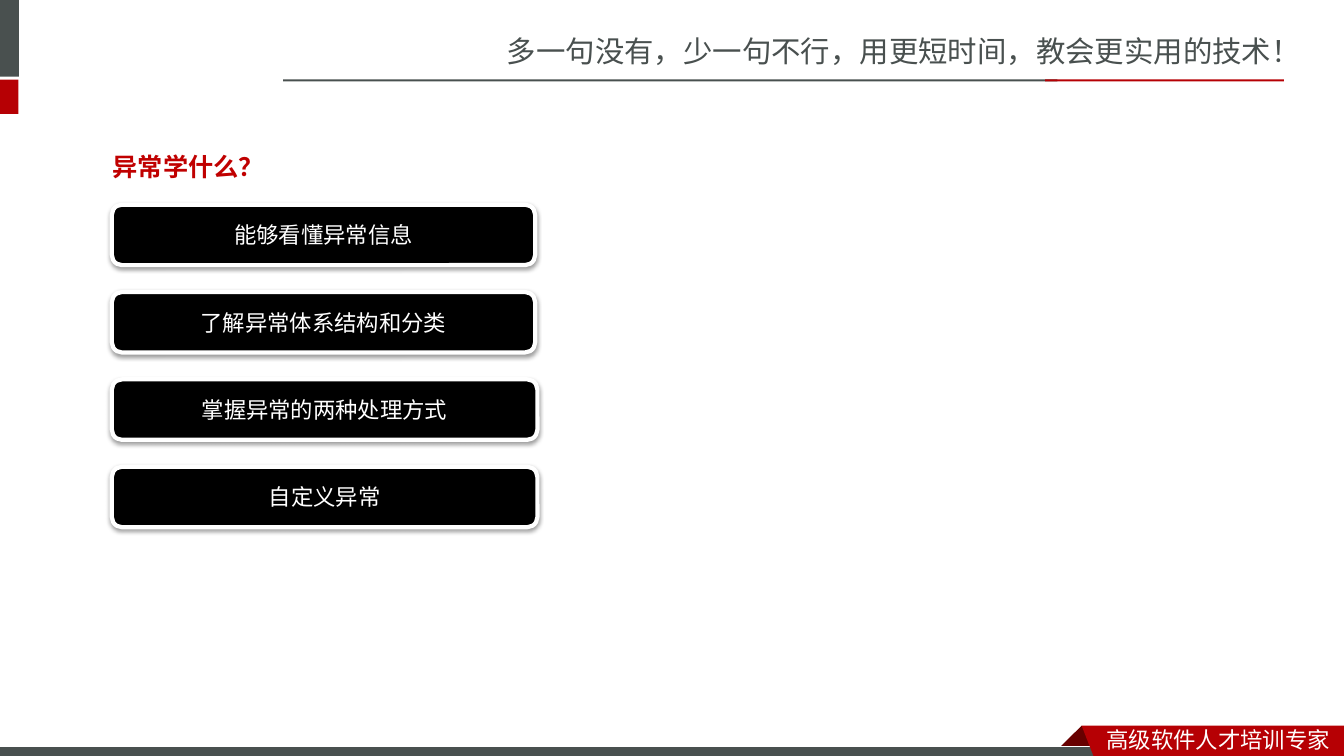
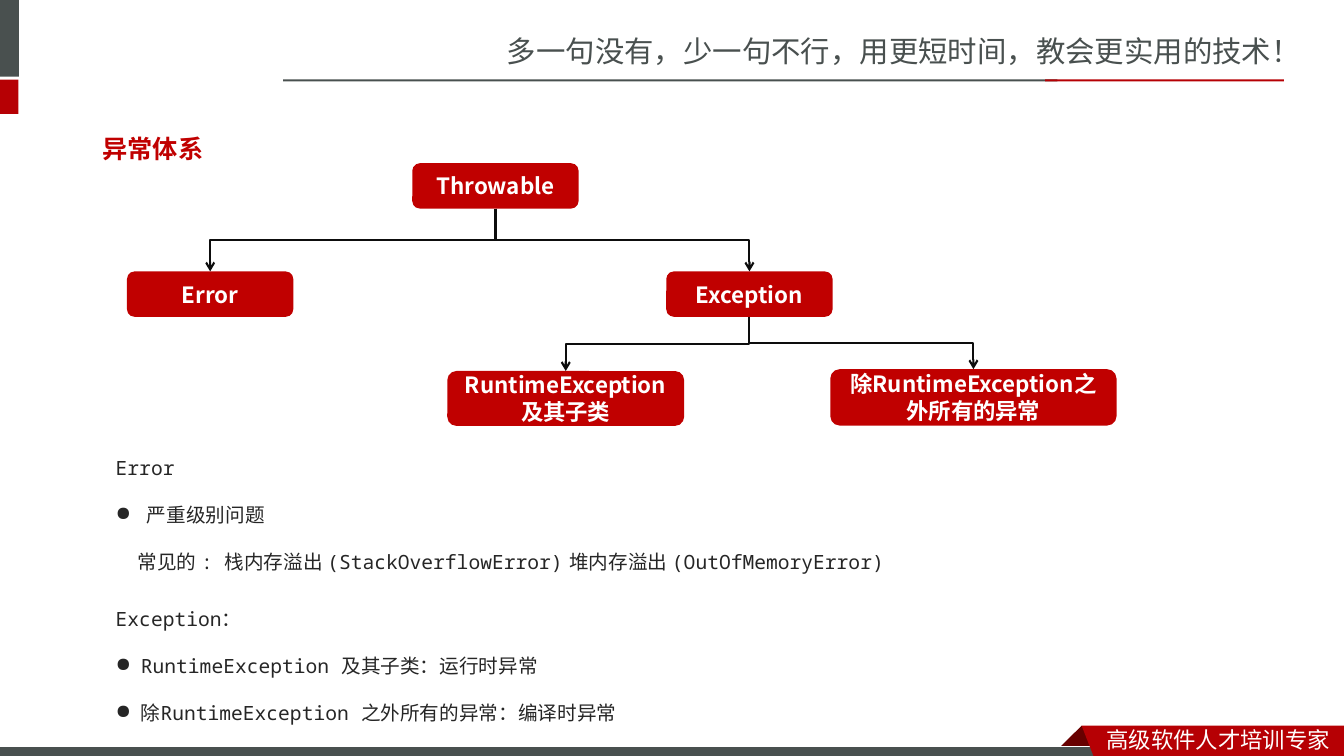
from lxml import etree
from pptx import Presentation
from pptx.dml.color import RGBColor
from pptx.enum.shapes import MSO_CONNECTOR, MSO_SHAPE
from pptx.enum.text import MSO_ANCHOR, MSO_AUTO_SIZE, PP_ALIGN
from pptx.oxml.ns import qn
from pptx.util import Pt

RECT = MSO_SHAPE.RECTANGLE
ROUNDED = MSO_SHAPE.ROUNDED_RECTANGLE
ELBOW = MSO_CONNECTOR.ELBOW
CENTER = PP_ALIGN.CENTER
MIDDLE = MSO_ANCHOR.MIDDLE
GROW = MSO_AUTO_SIZE.SHAPE_TO_FIT_TEXT

GRAY, RED, DARK_RED = "49504F", "B60004", "680000"
ACCENT, WHITE, BLACK = "C00000", "FFFFFF", "000000"
BODY, LINE = "262626", "0D0D0D"
SANS, SANS_BOLD, MONO = "Noto Sans CJK SC", "Noto Sans CJK JP", "Noto Sans Mono"

BOTTOM_SIDE, TOP_SIDE = 2, 0


def color(value):
    return RGBColor.from_string(value)


def add_xml(parent, tag, **attributes):
    child = etree.SubElement(parent, qn(tag))
    for name, value in attributes.items():
        child.set(name, str(value))
    return child


def style_font(para, size, fill, font=SANS, east=None, bold=False):
    para.font.size = Pt(size)
    para.font.bold = bold
    para.font.color.rgb = color(fill)
    para.font.name = font
    defaults = para._p.pPr.find(qn("a:defRPr"))
    add_xml(defaults, "a:ea", typeface=east or font)


def indent(para, margin, first, bullet=None, tab=None):
    """Set the indents of a paragraph, its bullet and its tab stop."""
    properties = para._p.get_or_add_pPr()
    properties.set("marL", str(Pt(margin)))
    properties.set("indent", str(Pt(first)))
    if bullet:
        add_xml(properties, "a:buChar", char=bullet)
    if tab:
        stops = add_xml(properties, "a:tabLst")
        add_xml(stops, "a:tab", pos=Pt(tab), algn="l")


def add_text_box(page, left, top, width, height):
    box = page.shapes.add_textbox(Pt(left), Pt(top), Pt(width), Pt(height))
    box.text_frame.word_wrap = True
    box.text_frame.auto_size = GROW
    return box.text_frame


def add_label(page, place, text, size, fill, font=SANS, bold=False, spacing=1):
    para = add_text_box(page, *place).paragraphs[0]
    para.text = text
    para.line_spacing = spacing
    style_font(para, size, fill, font, bold=bold)


def paint(shape, fill, line=None, width=0.75):
    shape.shadow.inherit = False
    shape.fill.solid()
    shape.fill.fore_color.rgb = color(fill)
    if line:
        shape.line.color.rgb = color(line)
        shape.line.width = Pt(width)
    else:
        shape.line.fill.background()


def add_block(page, kind, place, fill, line=None, width=0.75):
    shape = page.shapes.add_shape(kind, *map(Pt, place))
    paint(shape, fill, line, width)
    return shape


def add_outline(page, points, fill):
    corners = [(Pt(x), Pt(y)) for x, y in points]
    builder = page.shapes.build_freeform(*corners[0], scale=1.0)
    builder.add_line_segments(corners[1:], close=True)
    paint(builder.convert_to_shape(), fill)


def write_centered(shape, text, bold=False):
    frame = shape.text_frame
    frame.word_wrap = True
    frame.vertical_anchor = MIDDLE
    para = frame.paragraphs[0]
    para.text = text
    para.alignment = CENTER
    style_font(para, 16, WHITE, SANS_BOLD, bold=bold)


def add_button(page, place, text):
    button = add_block(page, ROUNDED, place, BLACK, WHITE, 3)
    effects = button._element.spPr.find(qn("a:effectLst"))
    shadow = add_xml(effects, "a:outerShdw", blurRad=Pt(3.1), dist=Pt(1.6),
                     dir=90 * 60000, algn="t", rotWithShape=0)
    shade = add_xml(shadow, "a:srgbClr", val=BLACK)
    add_xml(shade, "a:alpha", val=38000)
    write_centered(button, text)


def add_node(page, place, text):
    node = add_block(page, ROUNDED, place, ACCENT)
    write_centered(node, text, bold=True)
    return node


def join_nodes(page, parent, child):
    """Draw an elbow arrow from the bottom of parent to the top of child."""
    start_x = parent.left + parent.width // 2
    start_y = parent.top + parent.height
    end_x = child.left + child.width // 2
    run, drop = abs(end_x - start_x), child.top - start_y
    arrow = page.shapes.add_connector(ELBOW, start_x, start_y, end_x, child.top)
    arrow.begin_connect(parent, BOTTOM_SIDE)
    arrow.end_connect(child, TOP_SIDE)

    # A vertical first leg needs a quarter turn around the centre.
    arrow.width, arrow.height = drop, run
    arrow.left = (start_x + end_x - drop) // 2
    arrow.top = (start_y + child.top - run) // 2
    rightward = end_x > start_x
    properties = arrow._element.spPr
    frame = properties.find(qn("a:xfrm"))
    frame.set("rot", str((270 if rightward else 90) * 60000))
    frame.set("flipH", str(int(rightward)))
    frame.set("flipV", "0")

    arrow.line.color.rgb = color(LINE)
    arrow.line.width = Pt(1.5)
    add_xml(properties.find(qn("a:ln")), "a:tailEnd", type="arrow")
    add_xml(properties, "a:effectLst")


def add_notes_block(page, place, lines):
    """Write lines of (text, indent settings) in the body style."""
    frame = add_text_box(page, *place)
    for number, (text, settings) in enumerate(lines):
        para = frame.add_paragraph() if number else frame.paragraphs[0]
        para.text = text
        para.line_spacing = 2.0
        if settings:
            indent(para, **settings)
        style_font(para, 14, BODY, MONO, east=SANS)


def add_page(deck):
    """Add a blank slide with the shared header and footer."""
    page = deck.slides.add_slide(deck.slide_layouts[6])
    add_label(page, (355, 20.2, 605, 33.8),
              "多一句没有，少一句不行，用更短时间，教会更实用的技术！", 21, GRAY)
    for place, fill in (
        ((0, 0, 13.6, 54.7), GRAY),
        ((0, 56.9, 13.2, 24.5), RED),
        ((202.3, 56.7, 553, 1.5), GRAY),
        ((746.6, 56.7, 170.6, 1.5), RED),
    ):
        add_block(page, RECT, place, fill)
    add_outline(page, [(772.6, 518.4), (788.4, 534.2), (787.7, 535),
                       (757.4, 535), (756.7, 534.2)], DARK_RED)
    add_block(page, RECT, (-0.7, 533.5, 792, 8.6), GRAY, WHITE)
    add_outline(page, [(772.6, 518.4), (960, 518.4), (960, 542.5),
                       (781.9, 542.2)], RED)
    add_label(page, (783.4, 514.8, 176.6, 26.6), "高级软件人才培训专家", 16, WHITE)
    return page


def add_goals_page(deck):
    page = add_page(deck)
    add_label(page, (73.4, 82.8, 368.6, 45.4), "异常学什么？",
              18, ACCENT, SANS_BOLD, bold=True, spacing=2.0)
    goals = (
        ("能够看懂异常信息", 302.4),
        ("了解异常体系结构和分类", 302.4),
        ("掌握异常的两种处理方式", 304),
        ("自定义异常", 304),
    )
    for row, (text, width) in enumerate(goals):
        add_button(page, (79.9, 146.2 + row * 62.4, width, 43.2), text)


def add_hierarchy_page(deck):
    page = add_page(deck)
    add_label(page, (66.2, 80.6, 375, 36.7), "异常体系",
              18, ACCENT, SANS_BOLD, bold=True, spacing=1.5)
    add_notes_block(page, (75.6, 305.3, 705.6, 104.4), (
        ("Error", None),
        ("严重级别问题", dict(margin=22.3, first=-22.3, bullet="●")),
        ("常见的 : 栈内存溢出 (StackOverflowError)\t堆内存溢出 (OutOfMemoryError)",
         dict(margin=0, first=15.7, tab=349.5)),
    ))

    throwable = add_node(page, (294.5, 116.6, 118.8, 32.4), "Throwable")
    error = add_node(page, (90.7, 193.9, 118.8, 32.4), "Error")
    exception = add_node(page, (475.9, 193.9, 118.8, 32.4), "Exception")
    runtime = add_node(page, (319.5, 265, 169.2, 39.2), "RuntimeException及其子类")
    others = add_node(page, (593.1, 263.7, 204.5, 40.3),
                      "除RuntimeException之外所有的异常")
    for parent, child in ((throwable, exception), (throwable, error),
                          (exception, others), (exception, runtime)):
        join_nodes(page, parent, child)

    bulleted = dict(margin=18, first=-18, bullet="●")
    add_notes_block(page, (75.6, 413.3, 884.4, 104.4), (
        ("Exception：", None),
        ("RuntimeException 及其子类：运行时异常", bulleted),
        ("除RuntimeException 之外所有的异常：编译时异常", bulleted),
    ))


def main():
    deck = Presentation()
    deck.slide_width, deck.slide_height = Pt(960), Pt(540)
    add_goals_page(deck)
    add_hierarchy_page(deck)
    deck.save("out.pptx")


if __name__ == "__main__":
    main()
